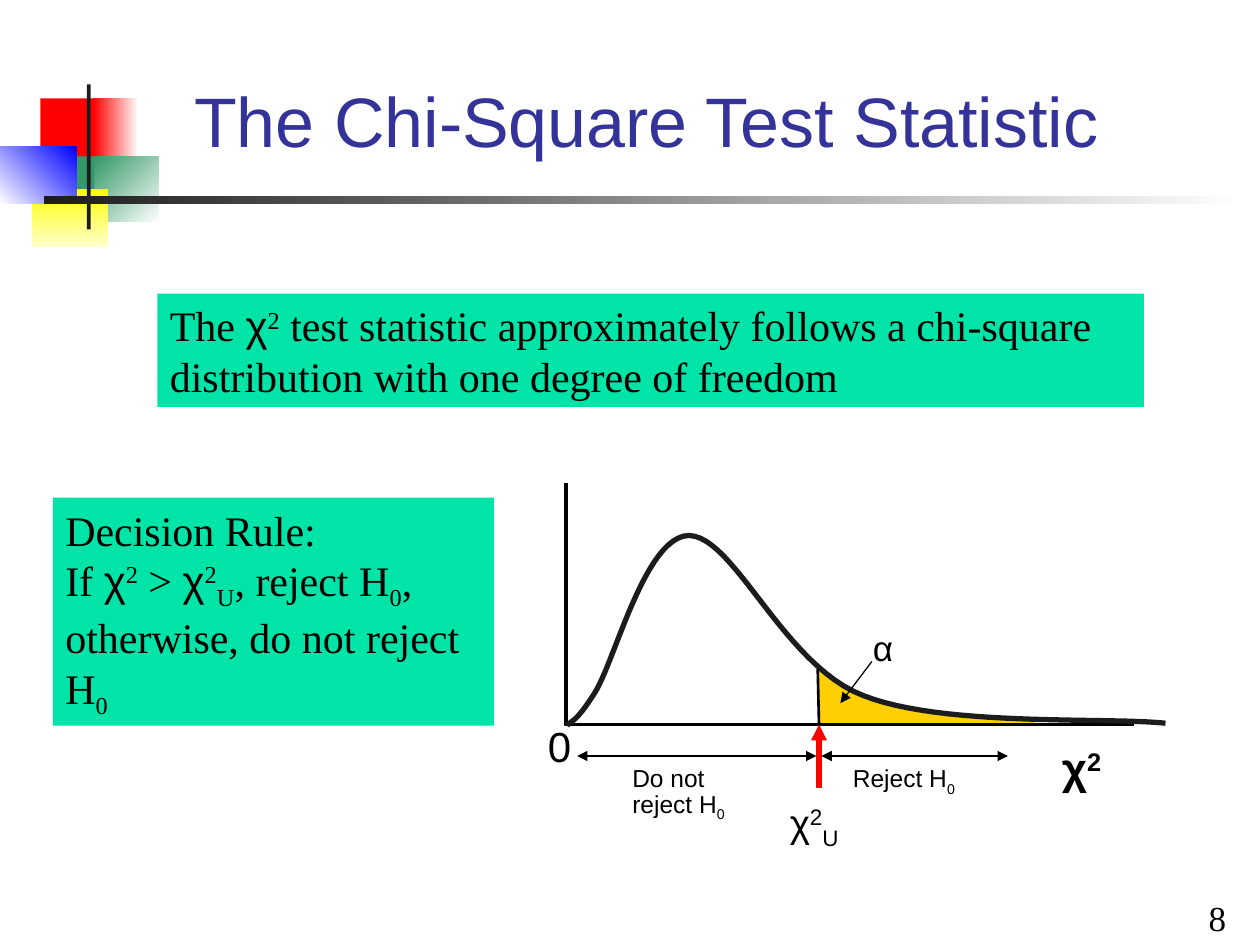
from dataclasses import dataclass
from typing import Optional

import pptx
import pptx.util
from lxml import etree
from pptx.dml.color import RGBColor
from pptx.enum.shapes import MSO_CONNECTOR, MSO_SHAPE
from pptx.enum.text import MSO_ANCHOR, PP_ALIGN
from pptx.oxml.ns import qn
from pptx.util import Inches, Pt

BLACK = RGBColor(0x00, 0x00, 0x00)
WHITE = RGBColor(0xFF, 0xFF, 0xFF)
DARK = RGBColor(0x1C, 0x1C, 0x1C)
RED = RGBColor(0xFF, 0x00, 0x00)
GREEN = RGBColor(0x33, 0x99, 0x66)
YELLOW = RGBColor(0xFF, 0xFF, 0x00)
PALE = RGBColor(0xFF, 0xFF, 0xCC)
BLUE = RGBColor(0x00, 0x00, 0xFF)
NAVY = RGBColor(0x33, 0x33, 0x99)
MINT = RGBColor(0x00, 0xE4, 0xA8)
GOLD = RGBColor(0xFF, 0xCF, 0x01)
SANS, SERIF = "Arial", "Times New Roman"
SUP, SUB = 30, -25


@dataclass
class Bar:
    at: tuple
    start: RGBColor
    end: Optional[RGBColor] = None
    angle: int = 0


@dataclass
class Run:
    text: str
    base: int = 0
    font: Optional[str] = None
    size: Optional[float] = None
    bold: Optional[bool] = None


@dataclass
class Block:
    at: tuple
    paras: list
    size: float
    font: str = SANS
    color: RGBColor = BLACK
    fill: Optional[RGBColor] = None
    align: PP_ALIGN = PP_ALIGN.LEFT
    anchor: MSO_ANCHOR = MSO_ANCHOR.TOP
    before: float = 0
    tight: Optional[float] = None  # line spacing after the first paragraph


@dataclass
class Rule:
    start: tuple
    end: tuple
    width: float = 0.75
    color: RGBColor = BLACK
    head: bool = False
    tail: bool = False


def draw_bar(shapes, bar: Bar):
    box = shapes.add_shape(MSO_SHAPE.RECTANGLE, *map(Inches, bar.at))
    box.shadow.inherit = False
    box.line.fill.background()
    if bar.end is None:
        box.fill.solid()
        box.fill.fore_color.rgb = bar.start
    else:
        box.fill.gradient()
        box.fill.gradient_angle = 360 - bar.angle
        for stop, color in zip(box.fill.gradient_stops, (bar.start, bar.end)):
            stop.color.rgb = color
    return box


def draw_block(shapes, block: Block) -> None:
    if block.fill is None:
        box = shapes.add_textbox(*map(Inches, block.at))
    else:
        box = draw_bar(shapes, Bar(block.at, block.fill))
    frame = box.text_frame
    frame.word_wrap = True
    frame.vertical_anchor = block.anchor
    for i, runs in enumerate(block.paras):
        para = frame.add_paragraph() if i else frame.paragraphs[0]
        para.alignment = block.align
        para.space_before = Pt(block.before)
        if i and block.tight:
            para.line_spacing = block.tight
        for item in runs:
            run = para.add_run()
            run.text = item.text
            run.font.name = item.font or block.font
            run.font.size = Pt(item.size or block.size)
            run.font.bold = item.bold
            run.font.color.rgb = block.color
            if item.base:
                run.font._element.set("baseline", str(item.base * 1000))


def draw_rule(shapes, rule: Rule) -> None:
    line = shapes.add_connector(MSO_CONNECTOR.STRAIGHT,
                                *map(Inches, rule.start + rule.end))
    line.line.color.rgb = rule.color
    line.line.width = Pt(rule.width)
    ln = line.line._get_or_add_ln()
    for on, tag in ((rule.head, "a:headEnd"), (rule.tail, "a:tailEnd")):
        if on:
            etree.SubElement(ln, qn(tag)).set("type", "triangle")
    etree.SubElement(line._element.spPr, qn("a:effectLst"))


def draw_path(shapes, points: list, width: float = 0, color: RGBColor = BLACK,
              fill: Optional[RGBColor] = None) -> None:
    """Draw a closed area when fill is given, otherwise an open line."""
    spots = [(Inches(x), Inches(y)) for x, y in points]
    pen = shapes.build_freeform(*spots[0])
    pen.add_line_segments(spots[1:], close=fill is not None)
    form = pen.convert_to_shape()
    form.shadow.inherit = False
    if fill is None:
        form.fill.background()
        form.line.color.rgb = color
        form.line.width = Pt(width)
    else:
        form.fill.solid()
        form.fill.fore_color.rgb = fill
        form.line.fill.background()


def bend(knots: list, steps: int = 24) -> list:
    """Sample joined cubic curves: a start, then three points per curve."""
    out = [knots[0]]
    for i in range(0, len(knots) - 1, 3):
        for n in range(1, steps + 1):
            t = n / steps
            mix = ((1 - t)**3, 3 * t * (1 - t)**2, 3 * t * t * (1 - t), t**3)
            out.append(tuple(sum(m * k[d] for m, k in zip(mix, knots[i:i + 4]))
                             for d in (0, 1)))
    return out


BARS = [
    Bar((0.32, 0.78, 0.48, 0.52), RED),
    Bar((0.74, 0.78, 0.36, 0.52), WHITE, RED, 180),
    Bar((0.75, 1.24, 0.51, 0.52), WHITE, GREEN, 225),
    Bar((0.43, 1.24, 0.32, 0.52), GREEN),
    Bar((0.25, 1.5, 0.61, 0.46), YELLOW, PALE, 90),
    Bar((0, 1.16, 0.61, 0.46), BLUE, WHITE, 135),
    Bar((0.69, 0.67, 0.03, 1.15), DARK),
    Bar((0.35, 1.56, 9.51, 0.06), WHITE, DARK, 180),
]
CHI = [Run("χ", font=SANS), Run("2", SUP)]
NULL = Run("0", SUB)
BLOCKS = [
    Block((1.26, 0.25, 7.74, 1.08), [[Run("The Chi-Square Test Statistic")]], 40,
          color=NAVY, align=PP_ALIGN.CENTER, anchor=MSO_ANCHOR.BOTTOM),
    Block((0.42, 3.95, 3.5, 1.81),
          [[Run("Decision Rule:")],
           [Run("If "), *CHI, Run(" > "), *CHI, Run("U", SUB), Run(", reject H"),
            NULL, Run(", otherwise, do not reject H"), NULL]],
          24, SERIF, fill=MINT, anchor=MSO_ANCHOR.MIDDLE),
    Block((1.25, 2.33, 7.83, 0.9),
          [[Run("The "), *CHI, Run(" test statistic approximately follows a "
                                   "chi-square distribution with one degree of freedom")]],
          24, SERIF, fill=MINT, anchor=MSO_ANCHOR.MIDDLE),
    Block((8.33, 5.83, 0.67, 0.51),
          [[Run("χ", bold=True), Run("2", SUP, bold=True)]], 25),
    Block((6.17, 6.29, 0.83, 0.51), [[*CHI, Run("U", SUB)]], 22),
    Block((4.25, 5.5, 0.5, 0.7), [[Run("0"), Run(" ", size=36, bold=True)]], 24,
          before=22.5),
    Block((6.83, 4.92, 0.42, 0.44), [[Run("α")]], 20, before=12.5),
    Block((6.67, 6.01, 1.08, 0.36), [[Run("Reject H"), NULL]], 14, before=8.8),
    Block((4.92, 6.01, 1, 0.51), [[Run("Do not")], [Run("reject H"), NULL]], 14,
          before=8.8, tight=0.2),
    Block((7.5, 7.15, 2.33, 0.35), [[Run("8")]], 20, SERIF,
          align=PP_ALIGN.RIGHT, anchor=MSO_ANCHOR.BOTTOM),
]
TAIL = [(6.51, 5.74), (6.49, 5.29), (6.67, 5.44), (6.8, 5.51), (6.93, 5.56),
        (7.05, 5.6), (7.27, 5.64), (7.52, 5.68), (8.22, 5.71), (8.22, 5.74)]
AXES = [(4.49, 3.83), (4.49, 5.75), (9, 5.75)]
CURVE = [(4.5, 5.76), (4.54, 5.71), (4.56, 5.75), (4.72, 5.5),
         (4.88, 5.25), (5.12, 4.25), (5.47, 4.25),
         (5.83, 4.26), (6.22, 5.28), (6.85, 5.52),
         (7.48, 5.77), (8.75, 5.69), (9.25, 5.74)]
RULES = [
    Rule((4.65, 4.33), (4.65, 4.33), 4, RED),
    Rule((6.49, 5.31), (6.5, 5.75), 1.5),
    Rule((6.92, 5.25), (6.67, 5.58), tail=True),
    Rule((6.5, 6.25), (6.5, 5.75), 3, RED, tail=True),
    Rule((6.48, 6), (4.58, 6), head=True, tail=True),
    Rule((8, 6), (6.52, 6), head=True, tail=True),
]


def main() -> None:
    deck = pptx.Presentation()
    deck.slide_width, deck.slide_height = Inches(10), Inches(7.5)
    shapes = deck.slides.add_slide(deck.slide_layouts[6]).shapes
    for bar in BARS:
        draw_bar(shapes, bar)
    draw_path(shapes, TAIL, fill=GOLD)
    draw_path(shapes, AXES, 2)
    draw_path(shapes, bend(CURVE), 3, DARK)
    for rule in RULES:
        draw_rule(shapes, rule)
    for block in BLOCKS:
        draw_block(shapes, block)
    deck.save("out.pptx")


if __name__ == "__main__":
    main()
